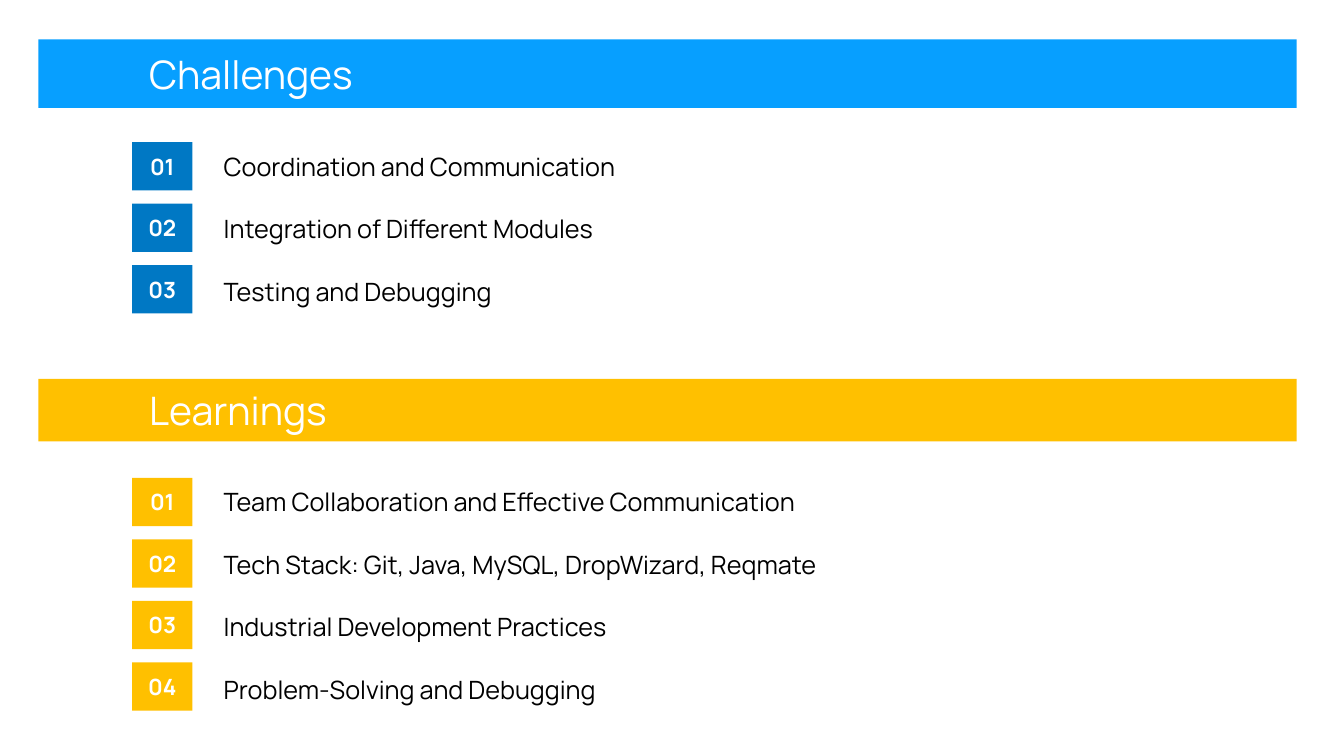
"""Build a slide listing the challenges and learnings of a project."""
from pptx import Presentation
from pptx.dml.color import RGBColor
from pptx.enum import shapes, text
from pptx.util import Inches, Pt

FONT = "Manrope"
WHITE, BLACK = "FFFFFF", "000000"
SECTIONS = [
    {
        "heading": "Challenges", "bar_top": 0.39, "bar_height": 0.68,
        "bar_color": "079FFF", "badge_color": "0078C4", "list_top": 1.41,
        "items": [
            ("Coordination and Communication", 6.19),
            ("Integration of Different Modules", 4.32),
            ("Testing and Debugging", 4.32),
        ],
    },
    {
        "heading": "Learnings", "bar_top": 3.76, "bar_height": 0.62,
        "bar_color": "FFC000", "badge_color": "FFC000", "list_top": 4.74,
        "items": [
            ("Team Collaboration and Effective Communication", 7.15),
            ("Tech Stack: Git, Java, MySQL, DropWizard, Reqmate", 7.31),
            ("Industrial Development Practices", 4.32),
            ("Problem-Solving and Debugging", 4.32),
        ],
    },
]
BAR_LEFT, BAR_WIDTH, BAR_INDENT = 0.38, 12.48, 0.5
BADGE_LEFT, BADGE_WIDTH, BADGE_HEIGHT, BADGE_INSET = 1.31, 0.6, 0.48, 0.13
BADGE_STEP = 0.61
ITEM_LEFT, ITEM_HEIGHT, ITEM_OFFSET, ITEM_STEP = 2.12, 0.4, 0.04, 0.62


def color(value):
    return RGBColor.from_string(value)


def fill_shape(shape, value):
    shape.fill.solid()
    shape.fill.fore_color.rgb = color(value)
    shape.line.fill.background()


def write(shape, wording, size, font_color, align, bold=False):
    frame = shape.text_frame
    frame.text = wording
    frame.word_wrap = True
    paragraph = frame.paragraphs[0]
    paragraph.alignment = align
    font = paragraph.runs[0].font
    font.name, font.size, font.bold = FONT, Pt(size), bold
    font.color.rgb = color(font_color)
    return paragraph


def add_rectangle(parent, left, top, width, height):
    shape = parent.add_shape(shapes.MSO_SHAPE.RECTANGLE, Inches(left), Inches(top),
                             Inches(width), Inches(height))
    shape.shadow.inherit = False
    return shape


def format_bar(bar, section):
    fill_shape(bar, section["bar_color"])
    paragraph = write(bar, section["heading"], 28, WHITE, text.PP_ALIGN.LEFT)
    bar.text_frame.auto_size = text.MSO_AUTO_SIZE.NONE
    bar.text_frame.vertical_anchor = text.MSO_ANCHOR.MIDDLE
    properties = paragraph._p.get_or_add_pPr()
    for name in ("marL", "indent"):
        properties.set(name, str(Inches(BAR_INDENT)))


def add_badge(group, number, top, fill):
    badge = add_rectangle(group, BADGE_LEFT, top, BADGE_WIDTH, BADGE_HEIGHT)
    fill_shape(badge, fill)
    write(badge, f"{number:02d}", 16, WHITE, text.PP_ALIGN.CENTER, bold=True)
    frame = badge.text_frame
    frame.vertical_anchor = text.MSO_ANCHOR.MIDDLE
    frame.margin_left = frame.margin_right = Inches(BADGE_INSET)
    frame.margin_top = frame.margin_bottom = Inches(BADGE_INSET)


def add_item(group, wording, top, width):
    box = group.add_textbox(Inches(ITEM_LEFT), Inches(top), Inches(width),
                            Inches(ITEM_HEIGHT))
    write(box, wording, 18, BLACK, text.PP_ALIGN.LEFT)
    box.text_frame.auto_size = text.MSO_AUTO_SIZE.SHAPE_TO_FIT_TEXT


def main():
    presentation = Presentation()
    presentation.slide_width, presentation.slide_height = Inches(13.33), Inches(7.5)
    slide = presentation.slides.add_slide(presentation.slide_layouts[5])

    for index, section in enumerate(SECTIONS):
        place = (BAR_LEFT, section["bar_top"], BAR_WIDTH, section["bar_height"])
        if index == 0:
            bar = slide.shapes.title
            bar.left, bar.top, bar.width, bar.height = map(Inches, place)
        else:
            bar = add_rectangle(slide.shapes, *place)
        format_bar(bar, section)

        group = slide.shapes.add_group_shape().shapes
        for row, (wording, width) in enumerate(section["items"]):
            top = section["list_top"]
            add_badge(group, row + 1, top + row * BADGE_STEP, section["badge_color"])
            add_item(group, wording, top + ITEM_OFFSET + row * ITEM_STEP, width)

    presentation.save("out.pptx")


if __name__ == "__main__":
    main()
